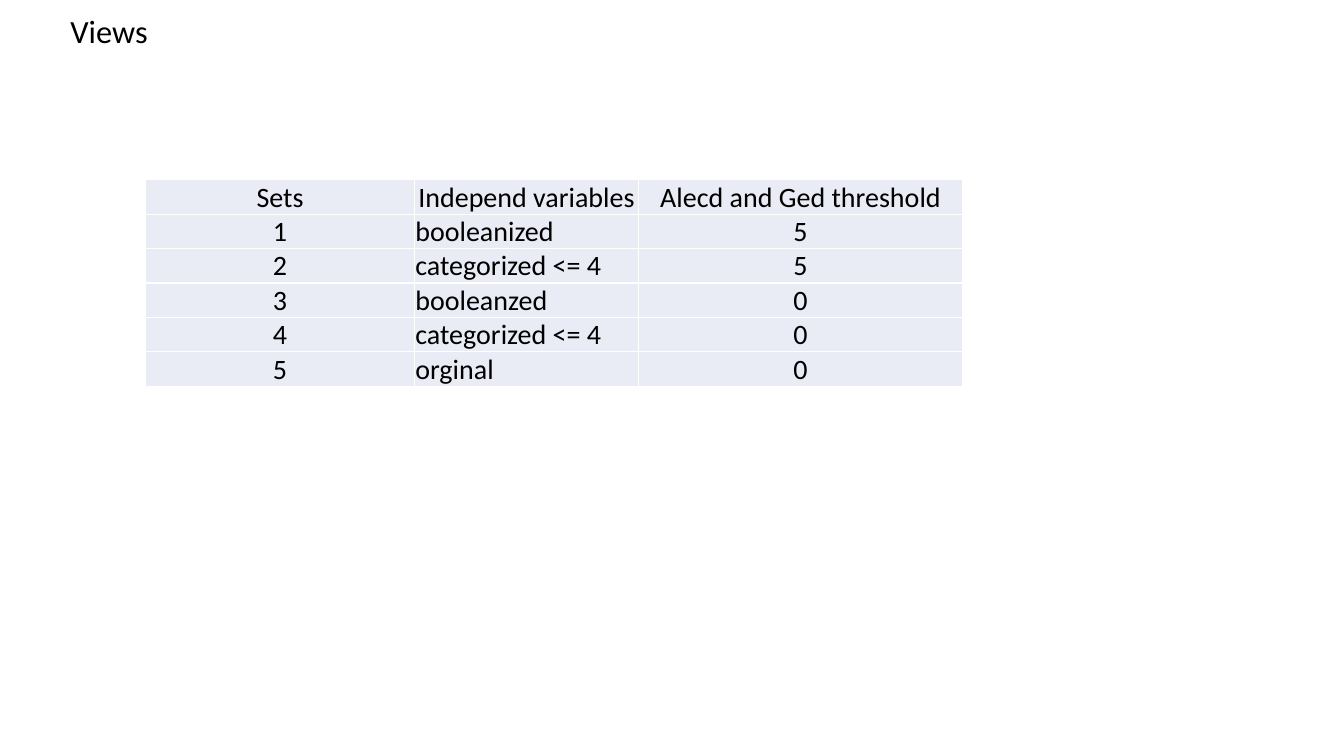
"""Build the Views slide: a title and a table of variable sets."""
from lxml.etree import SubElement
from pptx import Presentation
from pptx.dml.color import RGBColor as RGB
from pptx.enum.text import MSO_ANCHOR as ANCHOR, PP_ALIGN as ALIGN
from pptx.oxml.ns import qn
from pptx.util import Pt

TITLE = "Views"
HEADER = ("Sets", "Independ variables", "Alecd and Ged threshold")
SETS = [
    ("1", "booleanized", "5"),
    ("2", "categorized <= 4", "5"),
    ("3", "booleanzed", "0"),
    ("4", "categorized <= 4", "0"),
    ("5", "orginal", "0"),
]
THEME = {
    "font": "Calibri", "text": "000000", "cell": "E9EBF5", "border": "FFFFFF",
    "title_size": 23.1, "cell_size": 20, "border_width": 1,
}
SLIDE = (960, 540)
TITLE_BOX = (43.2, 10.8, 874, 29.5)
TABLE_AT = (103.9, 128.4)
COLUMNS = (192.3, 160, 231.4)
ROW_HEIGHT = 24.6
CELL_FORMAT = {
    "vertical_anchor": ANCHOR.BOTTOM, "margin_left": Pt(0.5),
    "margin_right": Pt(0.5), "margin_top": Pt(0.5), "margin_bottom": Pt(0),
}


def set_all(obj, values):
    for name, value in values.items():
        setattr(obj, name, value)


def write(p, text, size):
    r = p.add_run()
    r.text = text
    set_all(r.font, {"name": THEME["font"], "size": Pt(size), "bold": False})
    r.font.color.rgb = RGB.from_string(THEME["text"])


def add_borders(cell):
    tcPr = cell._tc.get_or_add_tcPr()
    for i, side in enumerate(("lnL", "lnR", "lnT", "lnB")):
        ln = SubElement(tcPr, qn(f"a:{side}"), w=str(Pt(THEME["border_width"])))
        fill = SubElement(ln, qn("a:solidFill"))
        SubElement(fill, qn("a:srgbClr"), val=THEME["border"])
        tcPr.insert(i, ln)


def add_title(slide):
    tf = slide.shapes.add_textbox(*map(Pt, TITLE_BOX)).text_frame
    set_all(tf, {"word_wrap": True, "vertical_anchor": ANCHOR.MIDDLE})
    p = tf.paragraphs[0]
    p.line_spacing = 0.7
    write(p, TITLE, THEME["title_size"])


def add_sets(slide):
    rows = [HEADER, *SETS]
    size = (sum(COLUMNS), ROW_HEIGHT * len(rows))
    table = slide.shapes.add_table(
        len(rows), len(COLUMNS), *map(Pt, TABLE_AT + size)).table
    set_all(table, {"first_row": False, "horz_banding": False})
    for column, width in zip(table.columns, COLUMNS):
        column.width = Pt(width)
    for i, row in enumerate(rows):
        table.rows[i].height = Pt(ROW_HEIGHT)
        for j, text in enumerate(row):
            cell = table.cell(i, j)
            set_all(cell, CELL_FORMAT)
            cell.fill.solid()
            cell.fill.fore_color.rgb = RGB.from_string(THEME["cell"])
            add_borders(cell)
            p = cell.text_frame.paragraphs[0]
            p.alignment = ALIGN.LEFT if i and j == 1 else ALIGN.CENTER
            write(p, text, THEME["cell_size"])


def main():
    prs = Presentation()
    set_all(prs, dict(zip(("slide_width", "slide_height"), map(Pt, SLIDE))))
    slide = prs.slides.add_slide(prs.slide_layouts[6])
    add_title(slide)
    add_sets(slide)
    prs.save("out.pptx")


if __name__ == "__main__":
    main()
